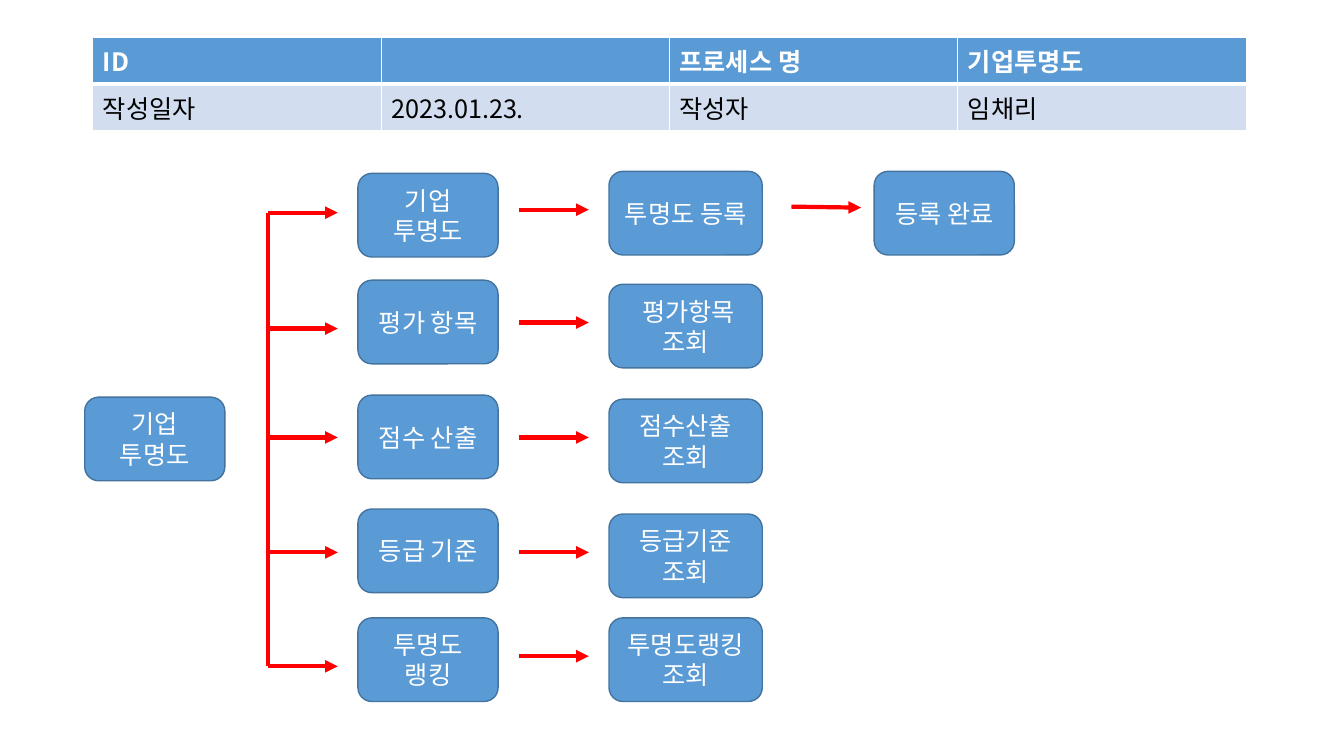
from dataclasses import dataclass

from lxml import etree
from pptx import Presentation
from pptx import util as u
from pptx.dml.color import RGBColor
from pptx.enum import shapes, text
from pptx.oxml import ns

EMU_PER_PX = 9144  # 100 px to the inch
FONT = "Noto Sans CJK KR"
FONT_SIZE = 18
BLUE = RGBColor(0x5B, 0x9B, 0xD5)
OUTLINE = RGBColor(0x43, 0x73, 0x9E)
PALE_BLUE = RGBColor(0xD2, 0xDE, 0xEF)
RED = RGBColor(0xFF, 0x00, 0x00)
WHITE = RGBColor(0xFF, 0xFF, 0xFF)
BLACK = RGBColor(0x00, 0x00, 0x00)

STEP_LEFT, STEP_WIDTH = 355, 139
RESULT_LEFT, RESULT_WIDTH = 604, 152
BOX_HEIGHT = 83
TRUNK_X = 266
LINK_X = 515
ARROW_LENGTH = 69


@dataclass(frozen=True)
class Box:
    left: int
    top: int
    width: int
    lines: tuple[str, ...]


@dataclass(frozen=True)
class Arrow:
    start_x: int
    start_y: int
    end_x: int
    end_y: int
    has_head: bool = True


@dataclass(frozen=True)
class Branch:
    step: str
    step_top: int
    branch_y: int
    link_y: int
    result_top: int
    result: tuple[str, ...]


BRANCHES = (
    Branch("기업 투명도", 172, 211, 208, 170, ("투명도 등록",)),
    Branch("평가 항목", 278, 326, 320, 282, (" 평가항목", "조회")),
    Branch("점수 산출", 392, 434, 434, 396, ("점수산출 조회",)),
    Branch("등급 기준", 505, 548, 548, 510, ("등급기준 조회",)),
    Branch("투명도 랭킹", 613, 661, 651, 613, ("투명도랭킹조회",)),
)

TABLE_ROWS = (
    ("ID", "", "프로세스 명", "기업투명도"),
    ("작성일자", "2023.01.23.", "작성자", "임채리"),
)
ROW_HEIGHTS = (43, 41)
COLUMN_WIDTH = 286


def px(length: int) -> u.Emu:
    return u.Emu(length * EMU_PER_PX)


def add_run(paragraph, wording: str, color: RGBColor, bold: bool = False) -> None:
    run = paragraph.add_run()
    run.text = wording
    run.font.name = FONT
    run.font.size = u.Pt(FONT_SIZE)
    run.font.bold = bold
    run.font.color.rgb = color
    properties = run.font._element
    etree.SubElement(properties, ns.qn("a:ea"), typeface=FONT)


def add_box(slide, box: Box) -> None:
    shape = slide.shapes.add_shape(
        shapes.MSO_SHAPE.ROUNDED_RECTANGLE,
        px(box.left), px(box.top), px(box.width), px(BOX_HEIGHT),
    )
    shape.shadow.inherit = False
    shape.fill.solid()
    shape.fill.fore_color.rgb = BLUE
    shape.line.color.rgb = OUTLINE
    shape.line.width = u.Pt(1)
    frame = shape.text_frame
    frame.word_wrap = True
    frame.vertical_anchor = text.MSO_ANCHOR.MIDDLE
    for index, line in enumerate(box.lines):
        paragraph = frame.add_paragraph() if index else frame.paragraphs[0]
        paragraph.alignment = text.PP_ALIGN.CENTER
        add_run(paragraph, line, WHITE)


def add_arrow(slide, arrow: Arrow) -> None:
    connector = slide.shapes.add_connector(
        shapes.MSO_CONNECTOR.STRAIGHT,
        px(arrow.start_x), px(arrow.start_y), px(arrow.end_x), px(arrow.end_y),
    )
    connector.line.color.rgb = RED
    connector.line.width = u.Pt(3)
    if arrow.has_head:
        line = connector.line._get_or_add_ln()
        etree.SubElement(line, ns.qn("a:tailEnd"), type="triangle")
    etree.SubElement(connector._element.spPr, ns.qn("a:effectLst"))


def add_cell_borders(cell, bottom_width: int) -> None:
    properties = cell._tc.get_or_add_tcPr()
    widths = {"lnL": 1, "lnR": 1, "lnT": 1, "lnB": bottom_width}
    for position, (side, width) in enumerate(widths.items()):
        border = etree.Element(ns.qn(f"a:{side}"), w=str(u.Pt(width)))
        fill = etree.SubElement(border, ns.qn("a:solidFill"))
        etree.SubElement(fill, ns.qn("a:srgbClr"), val=str(WHITE))
        properties.insert(position, border)


def add_header_table(slide) -> None:
    columns = len(TABLE_ROWS[0])
    table = slide.shapes.add_table(
        len(TABLE_ROWS), columns, px(92), px(37),
        px(COLUMN_WIDTH * columns), px(sum(ROW_HEIGHTS)),
    ).table
    table.horz_banding = False
    for column in table.columns:
        column.width = px(COLUMN_WIDTH)
    for row_index, wordings in enumerate(TABLE_ROWS):
        is_header = row_index == 0
        table.rows[row_index].height = px(ROW_HEIGHTS[row_index])
        for column_index, wording in enumerate(wordings):
            cell = table.cell(row_index, column_index)
            cell.fill.solid()
            cell.fill.fore_color.rgb = BLUE if is_header else PALE_BLUE
            add_cell_borders(cell, 3 if is_header else 1)
            if wording:
                color = WHITE if is_header else BLACK
                add_run(cell.text_frame.paragraphs[0], wording, color, is_header)


def add_branch(slide, branch: Branch) -> None:
    add_box(slide, Box(STEP_LEFT, branch.step_top, STEP_WIDTH, (branch.step,)))
    add_box(slide, Box(RESULT_LEFT, branch.result_top, RESULT_WIDTH, branch.result))
    for x, y in ((TRUNK_X, branch.branch_y), (LINK_X, branch.link_y)):
        add_arrow(slide, Arrow(x, y, x + ARROW_LENGTH, y))


def main() -> None:
    presentation = Presentation()
    presentation.slide_width = px(1333)
    presentation.slide_height = px(750)
    slide = presentation.slides.add_slide(presentation.slide_layouts[6])

    # Starting point and the trunk joining the branches
    add_box(slide, Box(84, 394, STEP_WIDTH, ("기업", "투명도")))
    for upper, lower in zip(BRANCHES, BRANCHES[1:]):
        add_arrow(slide, Arrow(TRUNK_X, upper.branch_y, TRUNK_X, lower.branch_y, False))

    # One branch per process step
    for branch in BRANCHES:
        add_branch(slide, branch)

    # Completion of the registration
    add_arrow(slide, Arrow(785, 205, 785 + ARROW_LENGTH, 206))
    add_box(slide, Box(867, 170, STEP_WIDTH, ("등록 완료",)))

    # Document details
    add_header_table(slide)
    presentation.save("out.pptx")


if __name__ == "__main__":
    main()
